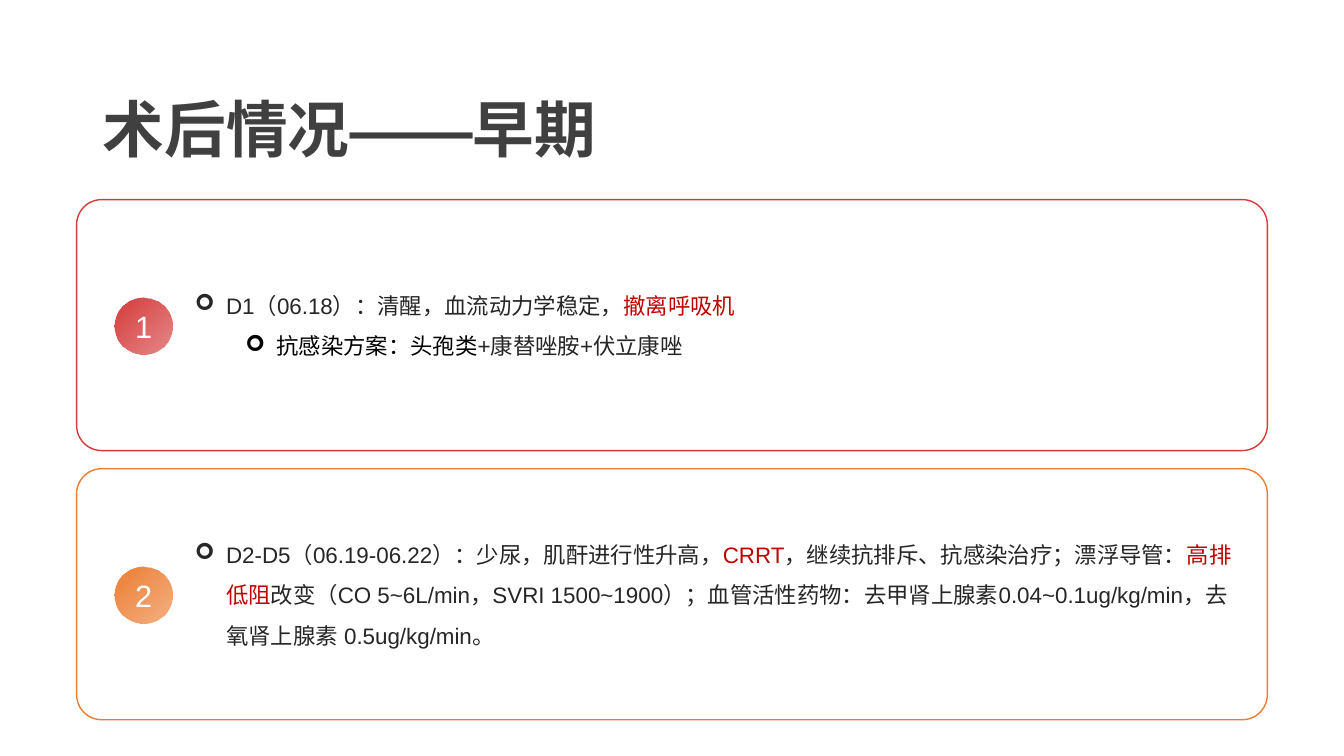
from dataclasses import dataclass

from lxml import etree
from pptx import Presentation
from pptx.dml.color import RGBColor
from pptx.enum.lang import MSO_LANGUAGE_ID
from pptx.enum.shapes import MSO_SHAPE
from pptx.enum.text import MSO_ANCHOR, PP_ALIGN
from pptx.oxml.ns import qn
from pptx.util import Emu, Pt

ROUND, OVAL = MSO_SHAPE.ROUNDED_RECTANGLE, MSO_SHAPE.OVAL
MIDDLE, LEFT, CENTER = MSO_ANCHOR.MIDDLE, PP_ALIGN.LEFT, PP_ALIGN.CENTER
CHINESE = MSO_LANGUAGE_ID.SIMPLIFIED_CHINESE
FONT = "Arial"
DARK, RED, BLACK, WHITE = "262626", "C00000", "000000", "FFFFFF"
CARD_TOP, CARD_STEP = 198, 267

Run = tuple[str, str]


@dataclass
class Item:
    runs: list[Run]
    level: int = 0


@dataclass
class Card:
    hue: str
    items: list[Item]


CARDS = [
    Card("D53A3A", [
        Item([("D1（06.18）：清醒，血流动力学稳定，", DARK), ("撤离呼吸机", RED)]),
        Item([("抗感染方案：头孢类", BLACK), ("+康替唑胺+伏立康唑", DARK)], 1),
    ]),
    Card("ED7D31", [
        Item([
            ("D2-D5（06.19-06.22）：少尿，肌酐进行性升高，", DARK),
            ("CRRT", RED),
            ("，继续抗排斥、抗感染治疗；漂浮导管：", DARK),
            ("高排低阻", RED),
            ("改变（CO 5~6L/min，SVRI 1500~1900）；血管活性药物："
             "去甲肾上腺素0.04~0.1ug/kg/min，去氧肾上腺素 0.5ug/kg/min。", DARK),
        ]),
    ]),
]


def px(n: int) -> Emu:
    """One px is a hundredth of an inch."""
    return Emu(n * 9144)


def rgb(code: str) -> RGBColor:
    return RGBColor.from_string(code)


def fade(shape, percent: int) -> None:
    """Set the opacity of the last colour in the shape's fill."""
    fill = shape._element.spPr.find(qn("a:solidFill"))
    if fill is None:
        fill = shape._element.spPr.find(qn("a:gradFill"))
    color = list(fill.iter(qn("a:srgbClr")))[-1]
    etree.SubElement(color, qn("a:alpha"), val=str(percent * 1000))


def write(para, runs: list[Run], *, size: int, bold: bool = False,
          align=LEFT, spacing: float = 1.0) -> None:
    para.alignment = align
    para.line_spacing = spacing
    para.space_before = Pt(0)
    for text, color in runs:
        run = para.add_run()
        run.text = text
        font = run.font
        font.name, font.size, font.bold = FONT, Pt(size), bold
        font.color.rgb = rgb(color)
        font.language_id = CHINESE
        latin = run._r.rPr.find(qn("a:latin"))
        latin.addnext(latin.makeelement(qn("a:ea"), {"typeface": FONT}))


def bullet(para, level: int) -> None:
    para.level = level
    props = para._p.get_or_add_pPr()
    props.set("marL", str(px(31 + 50 * level)))
    props.set("indent", str(px(-31)))
    etree.SubElement(props, qn("a:buFont"), typeface="Wingdings")
    etree.SubElement(props, qn("a:buChar"), char="➢")


def frame(shape, left: int, top: int, right: int, low: int, wrap: bool = True):
    box = shape.text_frame
    box.margin_left, box.margin_top = px(left), px(top)
    box.margin_right, box.margin_bottom = px(right), px(low)
    box.vertical_anchor, box.word_wrap = MIDDLE, wrap
    return box


def add_card(slide, card: Card, num: int) -> None:
    top = CARD_TOP + (num - 1) * CARD_STEP
    panel = slide.shapes.add_shape(ROUND, px(76), px(top), px(1181), px(249))
    panel.shadow.inherit = False
    panel.adjustments[0] = 0.1
    panel.fill.solid()
    panel.fill.fore_color.rgb = rgb(WHITE)
    fade(panel, 10)
    panel.line.color.rgb = rgb(card.hue)
    panel.line.width = Pt(1)
    box = frame(panel, 110, 0, 20, 12)
    for i, item in enumerate(card.items):
        para = box.add_paragraph() if i else box.paragraphs[0]
        bullet(para, item.level)
        write(para, item.runs, size=16, spacing=1.5)

    badge = slide.shapes.add_shape(OVAL, px(114), px(top + 97), px(57), px(57))
    badge.shadow.inherit = False
    badge.fill.gradient()
    badge.fill.gradient_angle = 315
    for stop in badge.fill.gradient_stops:
        stop.color.rgb = rgb(card.hue)
    fade(badge, 59)
    badge.line.fill.background()
    box = frame(badge, 10, 5, 10, 5, wrap=False)
    write(box.paragraphs[0], [(str(num), WHITE)], size=22, align=CENTER)


def main() -> None:
    deck = Presentation()
    deck.slide_width, deck.slide_height = px(1333), px(750)
    slide = deck.slides.add_slide(deck.slide_layouts[5])
    title = slide.shapes.title
    title.left, title.top = px(92), px(47)
    title.width, title.height = px(1150), px(145)
    box = frame(title, 10, 5, 10, 5)
    write(box.paragraphs[0], [("术后情况——早期", "404040")],
          size=44, bold=True, spacing=1.2)
    for num, card in enumerate(CARDS, 1):
        add_card(slide, card, num)
    deck.save("out.pptx")


if __name__ == "__main__":
    main()
